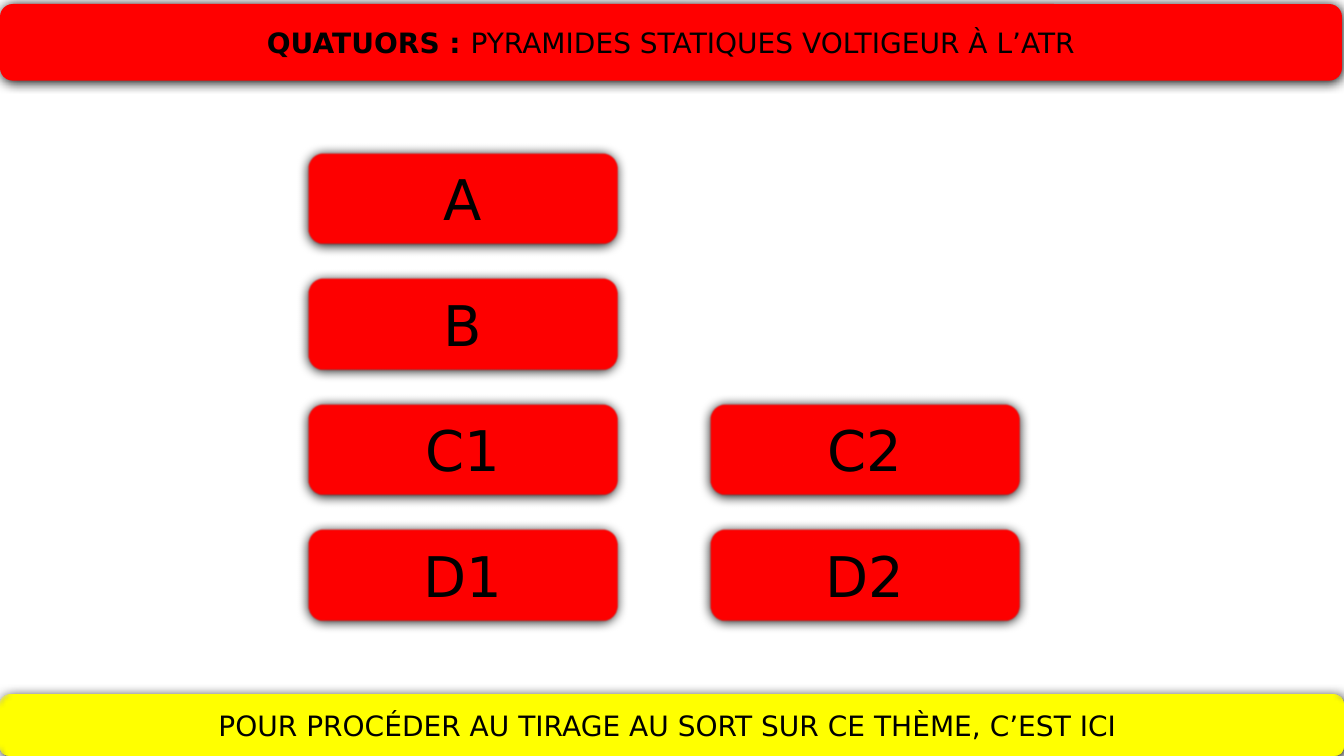
from dataclasses import dataclass

from lxml.etree import SubElement
from pptx import Presentation
from pptx.dml.color import RGBColor
from pptx.enum.shapes import MSO_SHAPE as Shape
from pptx.enum.text import MSO_ANCHOR as Anchor, PP_ALIGN as Align
from pptx.oxml.ns import qn
from pptx.util import Inches, Pt


@dataclass(frozen=True)
class Theme:
    red: str = "FF0000"
    yellow: str = "FFFF00"
    ink: str = "000000"
    font: str = "DejaVu Sans"
    banner_size: int = 20
    button_size: int = 40
    text_outline: float = 0.75
    shadow_blur: float = 8.5
    shadow_distance: float = 1
    soft_edge: float = 1


class SlideBuilder:
    def __init__(self, slide, theme):
        self.slide = slide
        self.theme = theme

    def panel(self, left, top, width, height, fill, runs, size, soft=True):
        panel = self.slide.shapes.add_shape(
            Shape.ROUNDED_RECTANGLE,
            Inches(left), Inches(top), Inches(width), Inches(height))
        panel.fill.solid()
        panel.fill.fore_color.rgb = RGBColor.from_string(fill)
        panel.line.fill.background()
        self.add_effects(panel, soft)
        frame = panel.text_frame
        frame.word_wrap = True
        frame.vertical_anchor = Anchor.MIDDLE
        paragraph = frame.paragraphs[0]
        paragraph.alignment = Align.CENTER
        for words, bold in runs:
            self.add_run(paragraph, words, size, bold)

    def add_run(self, paragraph, words, size, bold):
        run = paragraph.add_run()
        run.text = words
        run.font.name = self.theme.font
        run.font.size = Pt(size)
        run.font.bold = bold
        run.font.color.rgb = RGBColor.from_string(self.theme.ink)
        if bold:
            outline = run.font._element.makeelement(
                qn("a:ln"), w=str(Pt(self.theme.text_outline)))
            ink = SubElement(outline, qn("a:solidFill"))
            SubElement(ink, qn("a:srgbClr"), val=self.theme.ink)
            run.font._element.insert(0, outline)

    def add_effects(self, panel, soft):
        panel.shadow.inherit = False
        effects = panel._element.spPr.find(qn("a:effectLst"))
        shadow = SubElement(
            effects, qn("a:outerShdw"),
            blurRad=str(Pt(self.theme.shadow_blur)),
            dist=str(Pt(self.theme.shadow_distance)),
            dir=str(90 * 60000), algn="ctr", rotWithShape="0")
        SubElement(shadow, qn("a:srgbClr"), val=self.theme.ink)
        if soft:
            SubElement(effects, qn("a:softEdge"), rad=str(Pt(self.theme.soft_edge)))

    def button(self, left, top, label):
        self.panel(left, top, 3.08, 0.92, self.theme.red,
                   [(label, False)], self.theme.button_size)


def main():
    deck = Presentation()
    deck.slide_width, deck.slide_height = Inches(13.33), Inches(7.5)
    theme = Theme()
    builder = SlideBuilder(deck.slides.add_slide(deck.slide_layouts[6]), theme)

    builder.panel(0, 0.04, 13.31, 0.76, theme.red,
                  [("QUATUORS : ", True),
                   ("PYRAMIDES STATIQUES VOLTIGEUR À L’ATR", False)],
                  theme.banner_size, soft=False)

    pyramid_rows = [["A"], ["B"], ["C1", "C2"], ["D1", "D2"]]
    for row, labels in enumerate(pyramid_rows):
        for column, label in enumerate(labels):
            builder.button(3.05 + 3.99 * column, 1.51 + 1.245 * row, label)

    builder.panel(0, 6.89, 13.33, 0.61, theme.yellow,
                  [("POUR PROCÉDER AU TIRAGE AU SORT SUR CE THÈME, C’EST ICI ", False)],
                  theme.banner_size)
    deck.save("out.pptx")


if __name__ == "__main__":
    main()
